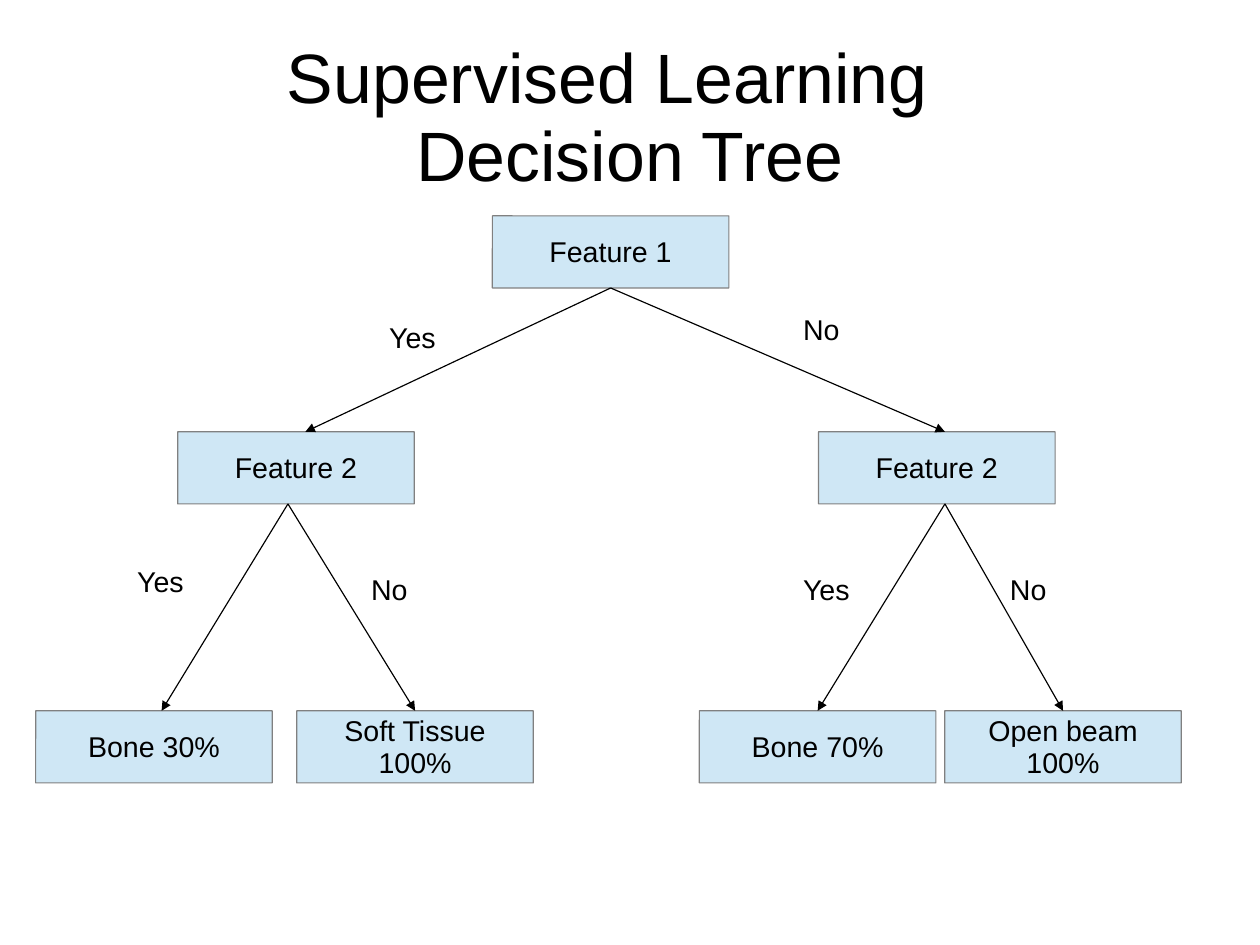
from pptx import Presentation
from pptx.dml.color import RGBColor
from pptx.enum.shapes import MSO_CONNECTOR as Conn, MSO_SHAPE as Kind
from pptx.enum.text import MSO_ANCHOR as Anchor, PP_ALIGN as Align
from pptx.oxml.ns import qn
from pptx.util import Pt
from lxml.etree import SubElement


def color(code):
    return RGBColor.from_string(code)


def write(shape, text, size, align, anchor, pads):
    frame = shape.text_frame
    sides = ("margin_left", "margin_top", "margin_right", "margin_bottom")
    form = {"word_wrap": True, "vertical_anchor": anchor}
    form.update(zip(sides, map(Pt, pads)))
    for name, value in form.items():
        setattr(frame, name, value)
    para = frame.paragraphs[0]
    para.text = text
    para.alignment = align
    para.line_spacing = 0.93
    for name, value in {"name": "Arial", "size": Pt(size)}.items():
        setattr(para.font, name, value)
    para.font.color.rgb = color("000000")


deck = Presentation()
deck.slide_width, deck.slide_height = Pt(793.75), Pt(595.25)
slide = deck.slides.add_slide(deck.slide_layouts[6])
shapes = slide.shapes
pads = (7.2, 5, 7.2, 3.6)

# Title
title = shapes.add_textbox(Pt(39.6), Pt(23.8), Pt(714.3), Pt(99.4))
write(title, "Supervised Learning\t\vDecision Tree", 44,
      Align.CENTER, Anchor.MIDDLE, (0, 2.9, 0, 0))

# Tree nodes
wide, high = 149, 45.4
rows = (136, 272, 447.75)
nodes = {
    "root": (310.2, 0, "Feature 1"),
    "left": (112, 1, "Feature 2"),
    "right": (515.7, 1, "Feature 2"),
    "bone 30": (22.5, 2, "Bone 30%"),
    "soft": (187, 2, "Soft Tissue 100%"),
    "bone 70": (440.6, 2, "Bone 70%"),
    "beam": (595.2, 2, "Open beam 100%"),
}
boxes = {}
for key, (left, row, text) in nodes.items():
    box = shapes.add_shape(Kind.ROUNDED_RECTANGLE, Pt(left), Pt(rows[row]),
                           Pt(wide), Pt(high))
    box.adjustments[0] = 0.003
    box.shadow.inherit = False
    box.fill.solid()
    box.fill.fore_color.rgb = color("CFE7F5")
    box.line.color.rgb = color("808080")
    box.line.width = Pt(0.75)
    write(box, text, 18, Align.CENTER, Anchor.MIDDLE, pads)
    boxes[key] = box

# Branches, joined where they meet the middle of a side
branches = [
    ("root", 385.5, "left", 192.4),
    ("root", 385.5, "right", 595.3),
    ("left", 181.4, "bone 30", 101.8),
    ("left", 181.4, "soft", 260.8),
    ("right", 595.3, "bone 70", 515.8),
    ("right", 595.3, "beam", 669),
]
for top, start, low, end in branches:
    line = shapes.add_connector(
        Conn.STRAIGHT, Pt(start), Pt(rows[nodes[top][1]] + high),
        Pt(end), Pt(rows[nodes[low][1]]))
    if abs(start - nodes[top][0] - wide / 2) < 2:
        line.begin_connect(boxes[top], 2)
    if abs(end - nodes[low][0] - wide / 2) < 2:
        line.end_connect(boxes[low], 0)
    line.line.color.rgb = color("000000")
    line.line.width = Pt(0.75)
    SubElement(line.line._get_or_add_ln(), qn("a:tailEnd"), type="triangle")
    SubElement(line._element.spPr, qn("a:effectLst"))

# Branch labels
labels = [
    ("Yes", 238.1, 198.5),
    ("No", 226.7, 357.1),
    ("Yes", 79.3, 352.3),
    ("Yes", 498.8, 357.1),
    ("No", 498.8, 193.4),
    ("No", 629.2, 357.1),
]
for text, left, top in labels:
    label = shapes.add_textbox(Pt(left), Pt(top), Pt(56.7), Pt(27.2))
    write(label, text, 18, Align.LEFT, Anchor.TOP, pads)

deck.save("out.pptx")
